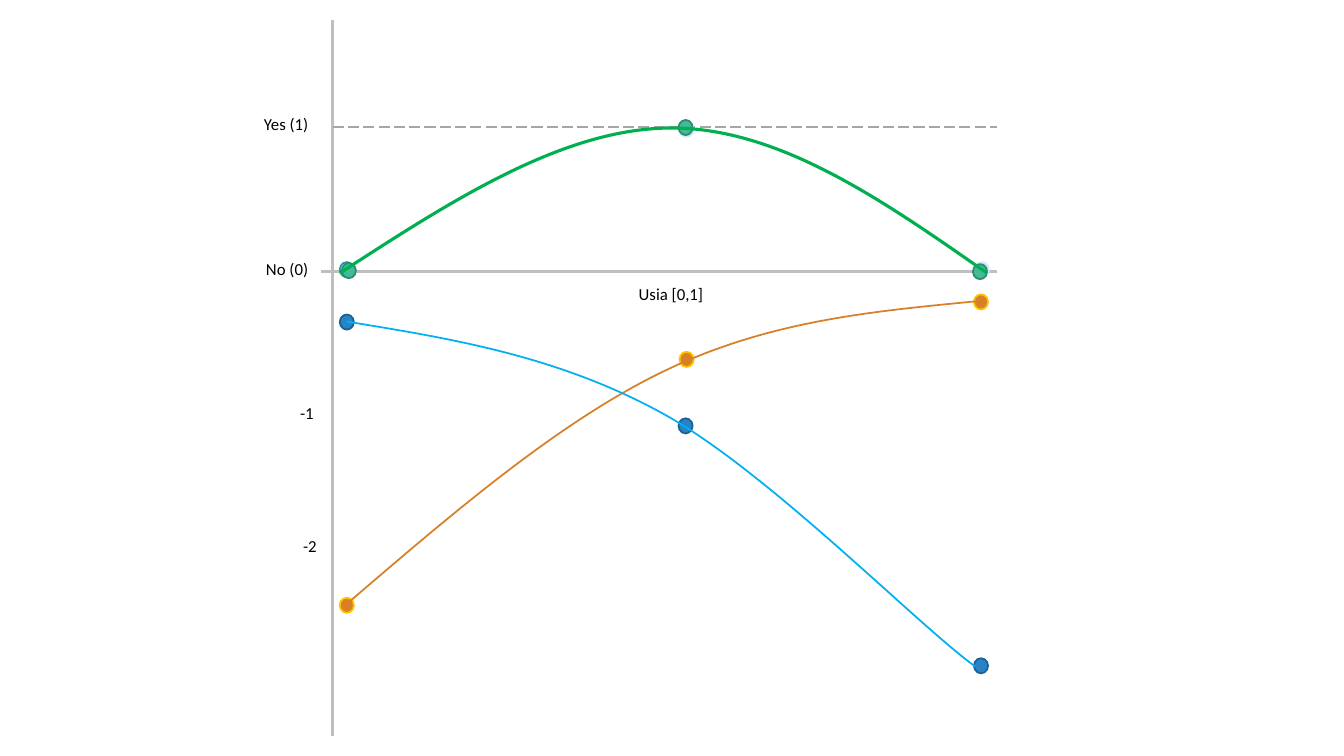
from lxml.etree import SubElement
from pptx import Presentation
from pptx.dml.color import RGBColor
from pptx.enum.dml import MSO_LINE
from pptx.enum.shapes import MSO_CONNECTOR, MSO_SHAPE
from pptx.enum.text import MSO_AUTO_SIZE, PP_ALIGN
from pptx.oxml.ns import qn
from pptx.util import Inches, Pt

BLACK = RGBColor(0x00, 0x00, 0x00)
AXIS_GRAY = RGBColor(0xBF, 0xBF, 0xBF)
DASH_GRAY = RGBColor(0xA6, 0xA6, 0xA6)
CURVE_GREEN = RGBColor(0x00, 0xB0, 0x50)
CURVE_BLUE = RGBColor(0x00, 0xB0, 0xF0)
ORANGE = RGBColor(0xD8, 0x80, 0x28)
GOLD = RGBColor(0xFF, 0xC0, 0x00)
BLUE = RGBColor(0x26, 0x83, 0xC6)
DARK_BLUE = RGBColor(0x1C, 0x61, 0x92)
GREEN = RGBColor(0x42, 0xBA, 0x97)
DARK_GREEN = RGBColor(0x31, 0x8A, 0x70)
TEAL = RGBColor(0x27, 0xCE, 0xD7)
DARK_TEAL = RGBColor(0x1D, 0x98, 0x9F)
PALE_BLUE = RGBColor(0xA4, 0xDE, 0xF4)
PALE_EDGE = RGBColor(0xD2, 0xEF, 0xFA)

DOT_WIDTH, DOT_HEIGHT = 0.14, 0.15

# Positions are offsets in inches from the top left of the plot
ZERO_LEVEL, ONE_LEVEL = 2.49, 1.06
LABELS = [
    ("No (0)", -0.76, 2.32, 0.73, PP_ALIGN.LEFT),
    ("Usia [0,1]", 2.75, 2.57, 1.21, PP_ALIGN.CENTER),
    ("Yes (1)", -0.78, 0.88, 0.7, PP_ALIGN.LEFT),
    ("-1", -0.79, 3.75, 0.7, PP_ALIGN.RIGHT),
    ("-2", -0.76, 5.07, 0.7, PP_ALIGN.RIGHT),
]
# Fill, edge, opacity in percent, top left corners
DOTS = [
    (TEAL, DARK_TEAL, 25, [(0.07, 2.4)]),
    (PALE_BLUE, PALE_EDGE, 100, [(6.37, 2.4), (3.44, 1.01)]),
    (GREEN, DARK_GREEN, 100, [(0.09, 2.41), (3.43, 0.99), (6.35, 2.42)]),
    (BLUE, DARK_BLUE, 100, [(0.07, 2.92), (3.43, 3.95), (6.36, 6.33)]),
    (ORANGE, GOLD, 100, [(0.07, 5.73), (3.44, 3.29), (6.36, 2.72)]),
]
# Color, line width, control points of two joined cubic curves
CURVES = [
    (CURVE_GREEN, 2.25, [(0.07, 2.51), (1.18, 1.79), (2.29, 1.07), (3.36, 1.07),
                         (4.43, 1.07), (5.46, 1.79), (6.49, 2.51)]),
    (ORANGE, 1.25, [(0.13, 5.8), (1.19, 4.89), (2.25, 3.98), (3.29, 3.48),
                    (4.33, 2.98), (5.35, 2.89), (6.37, 2.79)]),
    (CURVE_BLUE, 1.25, [(0.14, 2.99), (1.18, 3.16), (2.23, 3.33), (3.27, 3.9),
                        (4.31, 4.47), (5.79, 5.99), (6.37, 6.41)]),
]


def add_text(slide, text, left, top, width, height=0.3, size=12,
             color=BLACK, font="Calibri", align=PP_ALIGN.LEFT):
    box = slide.shapes.add_textbox(Inches(left), Inches(top), Inches(width), Inches(height))
    frame = box.text_frame
    frame.word_wrap = True
    frame.auto_size = MSO_AUTO_SIZE.SHAPE_TO_FIT_TEXT
    paragraph = frame.paragraphs[0]
    paragraph.alignment = align
    run = paragraph.add_run()
    run.text = text
    run.font.name = font
    run.font.size = Pt(size)
    run.font.color.rgb = color


def add_line(slide, start, end, color, width, dash=None):
    line = slide.shapes.add_connector(
        MSO_CONNECTOR.STRAIGHT, *(Inches(value) for value in (*start, *end)))
    line.line.color.rgb = color
    line.line.width = Pt(width)
    if dash:
        line.line.dash_style = dash
    SubElement(line._element.spPr, qn("a:effectLst"))


def add_dot(slide, left, top, fill, edge, opacity):
    dot = slide.shapes.add_shape(MSO_SHAPE.OVAL, Inches(left), Inches(top),
                                 Inches(DOT_WIDTH), Inches(DOT_HEIGHT))
    dot.shadow.inherit = False
    dot.fill.solid()
    dot.fill.fore_color.rgb = fill
    dot.line.color.rgb = edge
    dot.line.width = Pt(1.25)
    if opacity < 100:
        color = dot._element.spPr.find(qn("a:solidFill")).find(qn("a:srgbClr"))
        SubElement(color, qn("a:alpha"), val=str(opacity * 1000))


def add_curve(slide, left, top, controls, color, width):
    places = [(Inches(left + x), Inches(top + y)) for x, y in controls]
    builder = slide.shapes.build_freeform(*places[0])
    builder.add_line_segments(places[1:], close=False)
    curve = builder.convert_to_shape()
    curve.shadow.inherit = False
    curve.fill.background()
    curve.line.color.rgb = color
    curve.line.width = Pt(width)

    # Join each three line segments into one cubic curve
    outline = next(curve._element.iter(qn("a:path")))
    segments = outline.findall(qn("a:lnTo"))
    for first in range(0, len(segments), 3):
        cubic = SubElement(outline, qn("a:cubicBezTo"))
        for segment in segments[first:first + 3]:
            cubic.append(segment[0])
            outline.remove(segment)


def add_plot(slide, left, top, width, height):
    # Axes and the dashed upper level
    right = left + width
    zero, one = top + ZERO_LEVEL, top + ONE_LEVEL
    add_line(slide, (left - 0.12, zero), (right, zero), AXIS_GRAY, 2.25)
    add_line(slide, (left, top), (left, top + height), AXIS_GRAY, 2.25)
    add_line(slide, (left, one), (right, one), DASH_GRAY, 1, MSO_LINE.LONG_DASH)

    # Axis labels
    for text, x, y, label_width, align in LABELS:
        add_text(slide, text, left + x, top + y, label_width, align=align)

    # Data points
    for fill, edge, opacity, corners in DOTS:
        for x, y in corners:
            add_dot(slide, left + x, top + y, fill, edge, opacity)

    # Curves through the points
    for color, line_width, controls in CURVES:
        add_curve(slide, left, top, controls, color, line_width)


def main():
    presentation = Presentation()
    presentation.slide_width = Inches(13.33)
    presentation.slide_height = Inches(7.5)
    slide = presentation.slides.add_slide(presentation.slide_layouts[6])
    add_plot(slide, 3.3, 0.2, 6.59, 7.1)
    presentation.save("out.pptx")


if __name__ == "__main__":
    main()
